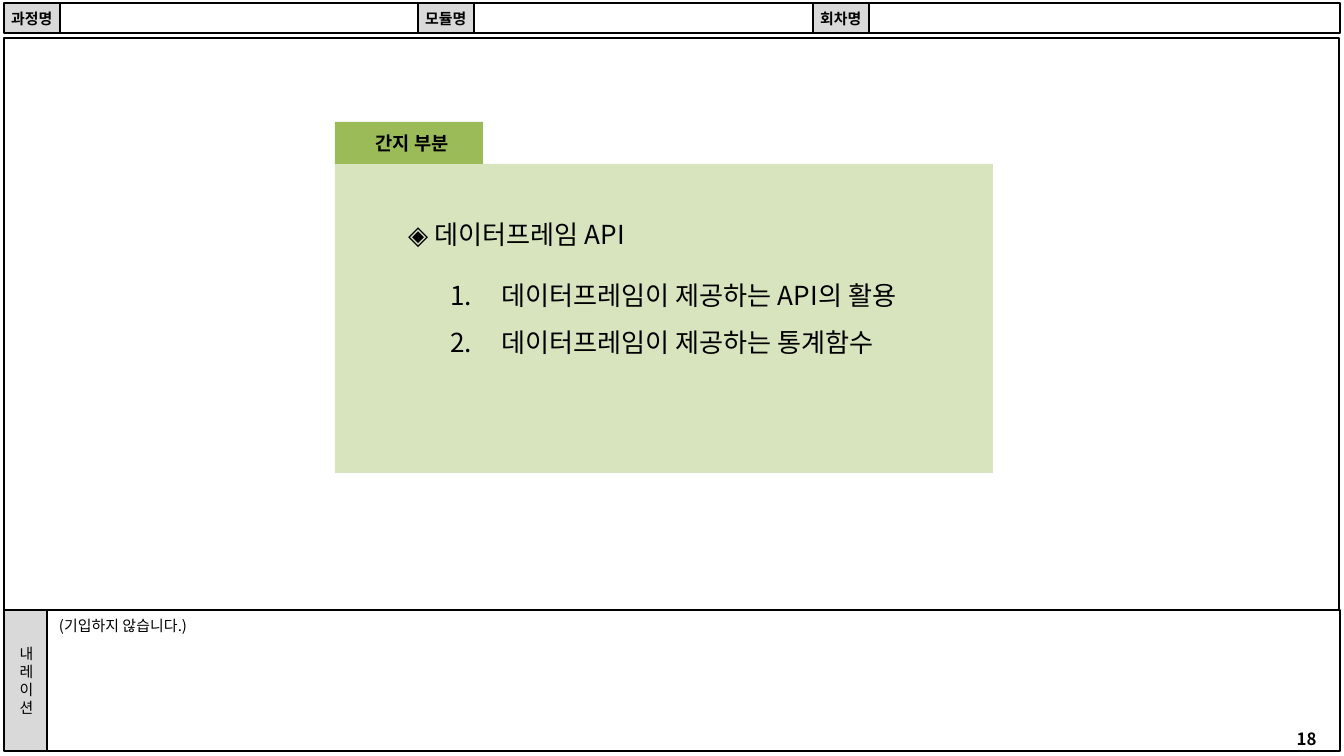
from lxml.etree import SubElement
from pptx import Presentation
from pptx.dml.color import RGBColor
from pptx.enum.shapes import MSO_SHAPE
from pptx.enum.text import MSO_ANCHOR, PP_ALIGN
from pptx.oxml.ns import qn
from pptx.util import Pt

EMU_PER_PX = 914400 / 134.4
FONT = "Noto Sans CJK KR"
COLORS = {
    "paper": "FFFFFF",
    "ink": "000000",
    "label": "D9D9D9",
    "card": "D7E4BD",
    "tab": "9BBB59",
}
HEADER_TOP, HEADER_HEIGHT, LABEL_WIDTH, RIGHT_EDGE = 3, 30, 56, 1340
HEADER_FIELDS = [("과정명", 4), ("모듈명", 418), ("회차명", 813)]


def px(length):
    return round(length * EMU_PER_PX)


def color(name):
    return RGBColor.from_string(COLORS[name])


def add_box(slide, area, fill, outlined=True):
    box = slide.shapes.add_shape(MSO_SHAPE.RECTANGLE, *map(px, area))
    box.shadow.inherit = False
    box.fill.solid()
    box.fill.fore_color.rgb = color(fill)
    if outlined:
        box.line.color.rgb = color("ink")
        box.line.width = Pt(0.75)
    else:
        box.line.fill.background()
    return box


def add_text_area(slide, area):
    return slide.shapes.add_textbox(*map(px, area))


def number_paragraph(paragraph):
    properties = paragraph._p.get_or_add_pPr()
    properties.set("marL", str(px(51)))
    properties.set("indent", str(px(-51)))
    SubElement(properties, qn("a:buFont"), typeface="+mj-lt")
    SubElement(properties, qn("a:buAutoNum"), type="arabicPeriod")
    paragraph.line_spacing = 1.5


def write(holder, lines, size, bold=False, align=PP_ALIGN.LEFT,
          anchor=MSO_ANCHOR.TOP, insets=(13, 7, 13, 7), wrap=True,
          numbered=False):
    frame = holder.text_frame
    left, top, right, bottom = map(px, insets)
    layout = {
        "word_wrap": wrap,
        "vertical_anchor": anchor,
        "margin_left": left,
        "margin_top": top,
        "margin_right": right,
        "margin_bottom": bottom,
    }
    for name, value in layout.items():
        setattr(frame, name, value)
    for index, line in enumerate(lines):
        paragraph = frame.add_paragraph() if index else frame.paragraphs[0]
        paragraph.alignment = align
        if numbered:
            number_paragraph(paragraph)
        run = paragraph.add_run()
        run.text = line
        for name, value in {"name": FONT, "size": Pt(size), "bold": bold}.items():
            setattr(run.font, name, value)
        run.font.color.rgb = color("ink")
        SubElement(run._r.get_or_add_rPr(), qn("a:ea"), typeface=FONT)


def add_label(slide, area, lines, size=8, fill="label", outlined=True, **style):
    label = add_box(slide, area, fill, outlined)
    write(label, lines, size, align=PP_ALIGN.CENTER,
          anchor=MSO_ANCHOR.MIDDLE, **style)


def add_header(slide):
    ends = [left for _, left in HEADER_FIELDS[1:]] + [RIGHT_EDGE]
    for (name, left), end in zip(HEADER_FIELDS, ends):
        value_left = left + LABEL_WIDTH
        add_box(slide, (value_left, HEADER_TOP, end - value_left, HEADER_HEIGHT),
                "paper")
        add_label(slide, (left, HEADER_TOP, LABEL_WIDTH, HEADER_HEIGHT), [name],
                  bold=True, wrap=False)


def add_narration(slide):
    add_box(slide, (32, 610, 1308, 141), "paper")
    add_label(slide, (4, 610, 43, 141), list("내레이션"),
              insets=(13, 7, 11, 7), wrap=False)
    write(add_text_area(slide, (47, 612, 1293, 138)), ["(기입하지 않습니다.)"], 8,
          insets=(12, 5, 12, 5))
    write(add_text_area(slide, (1275, 722, 63, 34)), ["18"], 9, bold=True,
          align=PP_ALIGN.CENTER)


def add_section_card(slide):
    add_box(slide, (335, 164, 658, 309), "card", outlined=False)
    add_label(slide, (335, 122, 148, 42), ["간지 부분"], 10, "tab",
              outlined=False, bold=True, insets=(11, 5, 5, 5))
    write(add_text_area(slide, (395, 211, 255, 46)), ["◈ 데이터프레임 API"], 14,
          wrap=False)
    topics = ["데이터프레임이 제공하는 API의 활용", "데이터프레임이 제공하는 통계함수"]
    write(add_text_area(slide, (437, 257, 486, 103)), topics, 14, numbered=True)


def main():
    presentation = Presentation()
    presentation.slide_width = px(1344)
    presentation.slide_height = px(756)
    slide = presentation.slides.add_slide(presentation.slide_layouts[6])
    add_box(slide, (4, 38, 1335, 573), "paper")
    add_header(slide)
    add_narration(slide)
    add_section_card(slide)
    presentation.save("out.pptx")


if __name__ == "__main__":
    main()
